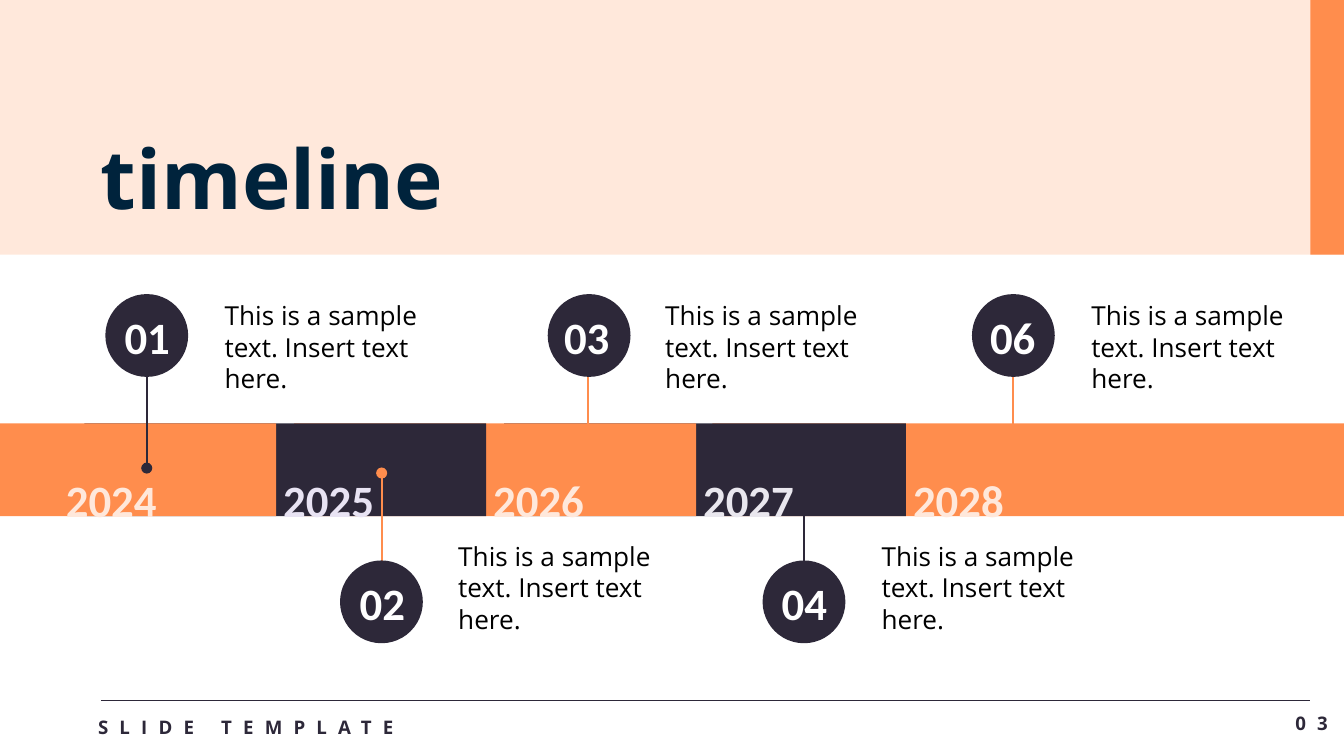
import pptx
import pptx.dml.color
import pptx.enum.shapes
import pptx.enum.text
import pptx.oxml.ns
import pptx.util
from lxml import etree

RGB = pptx.dml.color.RGBColor
KIND = pptx.enum.shapes.MSO_SHAPE
ALIGN = pptx.enum.text.PP_ALIGN
ANCHOR = pptx.enum.text.MSO_ANCHOR
FIT = pptx.enum.text.MSO_AUTO_SIZE

PEACH = RGB(0xFF, 0xE8, 0xDB)
ORANGE = RGB(0xFF, 0x8D, 0x4D)
DARK = RGB(0x2D, 0x28, 0x39)
NAVY = RGB(0x00, 0x23, 0x3C)
LILAC = RGB(0xE8, 0xE3, 0xF3)
PALE = RGB(0xE9, 0xE7, 0xEE)
WHITE = RGB(0xFF, 0xFF, 0xFF)
BLACK = RGB(0, 0, 0)

WIDTH = pptx.util.Inches(10)
HEIGHT = WIDTH * 9 // 16
CELL = WIDTH // 100  # square grid, 100 columns across the slide

BAND_TOP, BAND_TALL = 31.5, 6.9
FIRST, STEP, SPAN = 20.55, 15.62, 29.9  # first band edge, year step, bar length
DISC = 6.16
NOTE = "This is a sample text. Insert text here."

YEARS = [("2024", PEACH), ("2025", LILAC), ("2026", PEACH),
         ("2027", PALE), ("2028", PEACH)]

# number, then columns of disc, pin, number and note, then pin colour
UPPER = [("01", 7.84, 10.92, 9, 16.72, DARK),
         ("03", 40.75, 43.74, 41.7, 49.5, ORANGE),
         ("06", 72.32, 75.4, 73.4, 81.2, ORANGE)]
LOWER = [("02", 25.3, 28.4, 26.5, 34.1, ORANGE),
         ("04", 56.74, 59.8, 57.9, 65.6, DARK)]


def grid(*cells):
    return [round(cell * CELL) for cell in cells]


def block(shapes, spot, fill, kind=KIND.RECTANGLE):
    shape = shapes.add_shape(kind, *grid(*spot))
    shape.shadow.inherit = False
    shape.fill.solid()
    shape.fill.fore_color.rgb = fill
    shape.line.fill.background()


def rule(shapes, ends, color, width, dot=False):
    line = shapes.add_connector(pptx.enum.shapes.MSO_CONNECTOR.STRAIGHT, *grid(*ends))
    line.line.color.rgb = color
    line.line.width = pptx.util.Pt(width)
    qn = pptx.oxml.ns.qn
    if dot:
        etree.SubElement(line.line._get_or_add_ln(), qn("a:tailEnd"), type="oval")
    etree.SubElement(line._element.spPr, qn("a:effectLst"))


def label(shapes, spot, text, size, color, font="Open Sans", bold=True,
          align=ALIGN.LEFT, anchor=ANCHOR.TOP, wrap=True, fit=FIT.NONE, space=0):
    """Add a text box without margins; space is letter spacing in points."""
    frame = shapes.add_textbox(*grid(*spot)).text_frame
    frame.margin_left = frame.margin_right = 0
    frame.margin_top = frame.margin_bottom = 0
    frame.word_wrap = wrap
    frame.auto_size = fit
    frame.vertical_anchor = anchor
    para = frame.paragraphs[0]
    para.alignment = align
    run = para.add_run()
    run.text = text
    para.font.name = font
    para.font.size = pptx.util.Pt(size)
    para.font.bold = bold
    para.font.color.rgb = color
    if space:
        run._r.get_or_add_rPr().set("spc", str(space * 100))


def figure(shapes, spot, text, color, align=ALIGN.LEFT):
    label(shapes, spot, text, 24, color, "Calibri", align=align,
          anchor=ANCHOR.MIDDLE, wrap=False)


def header(shapes):
    block(shapes, (0, 0, 100, 18.95), PEACH)
    block(shapes, (97.5, 0, 2.5, 18.95), ORANGE)
    label(shapes, (7.5, 9.5, 33, 7.4), "timeline", 44, NAVY, fit=FIT.SHAPE_TO_FIT_TEXT)


def footer(shapes):
    small = dict(size=10, color=DARK, fit=FIT.SHAPE_TO_FIT_TEXT, space=6)
    label(shapes, (71.5, 53, 27.3, 1.7), "03", align=ALIGN.RIGHT, **small)
    rule(shapes, (7.5, 52.13, 97.5, 52.13), DARK, 0.5)
    label(shapes, (7.3, 53.3, 24.4, 1.7), "SLIDE TEMPLATE", **small)


def band(shapes):
    """Stack the bars from last to first, so each covers the start of the next."""
    group = shapes.add_group_shape().shapes
    last = len(YEARS) - 1
    for i in range(last, -1, -1):
        right = 100 if i == last else FIRST + i * STEP
        left = 53 if i == last else max(0, right - SPAN)
        block(group, (left, BAND_TOP, right - left, BAND_TALL),
              DARK if i % 2 else ORANGE)


def years(shapes):
    for i, (year, color) in enumerate(YEARS):
        left = FIRST + 0.53 + (i - 1) * STEP if i else 4.9
        figure(shapes, (left, 35.5, 7, 3.3), year, color)


def pins(shapes, marks, start, end):
    for _, _, pin, _, _, color in marks:
        rule(shapes, (pin, start, pin, end), color, 1, dot=True)


def steps(shapes, marks, top, note_top, note_tall, anchor):
    for text, disc, _, num, note, _ in marks:
        block(shapes, (disc, top, DISC, DISC), DARK, KIND.OVAL)
        figure(shapes, (num, top + 1.38, 3.9, 3.5), text, WHITE, ALIGN.CENTER)
        label(shapes, (note, note_top, 18, note_tall), NOTE, 14, BLACK,
              bold=False, anchor=anchor)


def main():
    deck = pptx.Presentation()
    deck.slide_width, deck.slide_height = WIDTH, HEIGHT
    shapes = deck.slides.add_slide(deck.slide_layouts[6]).shapes
    header(shapes)
    footer(shapes)
    band(shapes)
    pins(shapes, UPPER, 27.9, 34.83)
    pins(shapes, LOWER, 42.1, 35.2)
    years(shapes)
    steps(shapes, UPPER, 21.88, 22.3, 5.2, ANCHOR.TOP)
    steps(shapes, LOWER, 41.7, 41.5, 5.7, ANCHOR.BOTTOM)
    deck.save("out.pptx")


if __name__ == "__main__":
    main()
